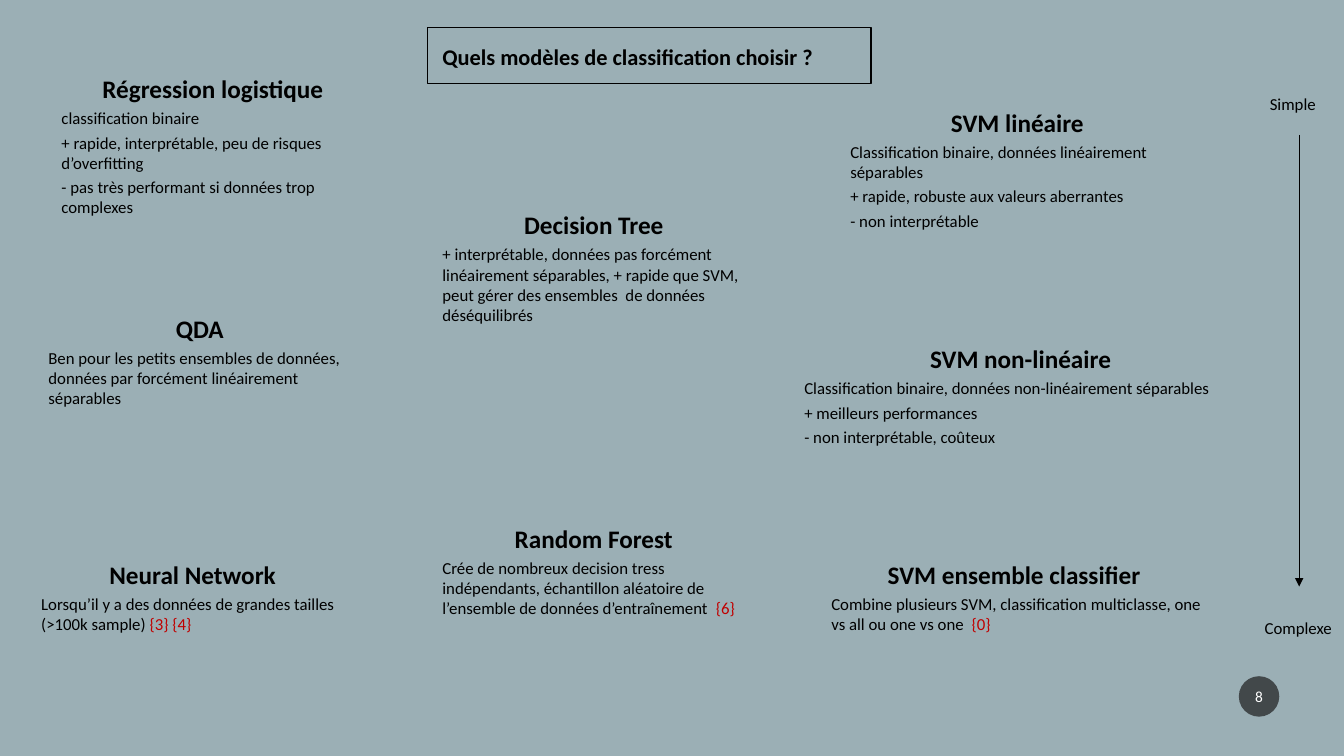
from dataclasses import dataclass

from lxml.etree import SubElement
from pptx import Presentation
from pptx.dml.color import RGBColor
from pptx.enum.shapes import MSO_CONNECTOR as Line, MSO_SHAPE as Preset
from pptx.enum.text import MSO_ANCHOR as Anchor, PP_ALIGN as Align
from pptx.oxml.ns import qn
from pptx.util import Cm, Pt


@dataclass(frozen=True)
class Theme:
    font: str = "Calibri"
    background: RGBColor = RGBColor(0x9B, 0xAF, 0xB5)
    ink: RGBColor = RGBColor(0, 0, 0)
    reference: RGBColor = RGBColor(0xC0, 0, 0)
    badge: RGBColor = RGBColor(0x1D, 0x1D, 0x1D)
    badge_text: RGBColor = RGBColor(0xFF, 0xFF, 0xFF)
    title: Pt = Pt(16)
    heading: Pt = Pt(18)
    body: Pt = Pt(12)
    number: Pt = Pt(11)


theme = Theme()


def write(frame, text, size=theme.body, bold=False, color=theme.ink,
          align=Align.LEFT, after=3, reference=""):
    """Add one paragraph, with an optional coloured reference at its end."""
    first = frame.paragraphs[0]
    paragraph = frame.add_paragraph() if first.runs else first
    paragraph.alignment = align
    paragraph.space_after = Pt(after)
    for words, ink in ((text, color), (reference, theme.reference)):
        if words:
            run = paragraph.add_run()
            run.text = words
            run.font.name = theme.font
            run.font.size = size
            run.font.bold = bold
            run.font.color.rgb = ink


def text_area(left, top, width, height, wrap=True):
    frame = slide.shapes.add_textbox(Cm(left), Cm(top), Cm(width), Cm(height)).text_frame
    frame.word_wrap = wrap
    return frame


deck = Presentation()
deck.slide_width, deck.slide_height = Cm(33.87), Cm(19.05)
slide = deck.slides.add_slide(deck.slide_layouts[6])
slide.background.fill.solid()
slide.background.fill.fore_color.rgb = theme.background

# Slide number
badge = slide.shapes.add_shape(Preset.OVAL, Cm(31.22), Cm(17.04), Cm(1.02), Cm(1.02))
badge.shadow.inherit = False
badge.fill.solid()
badge.fill.fore_color.rgb = theme.badge
badge.line.fill.background()
badge_color = badge.fill._xPr.find(qn("a:solidFill"))[0]
SubElement(badge_color, qn("a:alpha")).set("val", "70000")
number = badge.text_frame
number.margin_left = number.margin_right = Cm(0.05)
number.vertical_anchor = Anchor.MIDDLE
write(number, "8", size=theme.number, color=theme.badge_text, align=Align.CENTER, after=0)

# Title and its frame
title = text_area(10.9, 0.97, 11.18, 0.94)
write(title, "Quels modèles de classification choisir ?", size=theme.title, bold=True, after=0)
title_border = slide.shapes.add_shape(Preset.RECTANGLE, Cm(10.77), Cm(0.69), Cm(11.18), Cm(1.42))
title_border.shadow.inherit = False
title_border.fill.background()
title_border.line.color.rgb = theme.ink
title_border.line.width = Pt(1)

# Models: (left, top, width, height), name, remarks, reference
models = [
    ((1.3, 1.73, 8.13, 3.91), "Régression logistique",
     ["classification binaire",
      "+ rapide, interprétable, peu de risques d’overfitting",
      "- pas très performant si données trop complexes"], ""),
    ((0.97, 7.77, 8.13, 2.67), "QDA",
     ["Ben pour les petits ensembles de données, données par forcément "
      "linéairement séparables"], ""),
    ((0.79, 13.97, 8.13, 2.16), "Neural Network",
     ["Lorsqu’il y a des données de grandes tailles (>100k sample) "], "{3} {4}"),
    ((10.9, 5.16, 8.13, 3.18), "Decision Tree",
     ["+ interprétable, données pas forcément linéairement séparables, "
      "+ rapide que SVM, peut gérer des ensembles  de données déséquilibrés"], ""),
    ((10.9, 13.06, 8.13, 2.67), "Random Forest",
     ["Crée de nombreux decision tress indépendants, échantillon aléatoire de "
      "l’ensemble de données d’entraînement  "], "{6}"),
    ((21.18, 2.57, 8.92, 3.4), "SVM linéaire",
     ["Classification binaire, données linéairement séparables",
      "+ rapide, robuste aux valeurs aberrantes",
      "- non interprétable"], ""),
    ((20.02, 8.53, 11.4, 2.9), "SVM non-linéaire",
     ["Classification binaire, données non-linéairement séparables",
      "+ meilleurs performances",
      "- non interprétable, coûteux"], ""),
    ((20.7, 13.97, 9.86, 2.16), "SVM ensemble classifier ",
     ["Combine plusieurs SVM, classification multiclasse, one vs all ou one vs one  "],
     "{0}"),
]
for place, name, remarks, reference in models:
    model = text_area(*place)
    write(model, name, size=theme.heading, bold=True, align=Align.CENTER)
    for remark in remarks[:-1]:
        write(model, remark)
    write(model, remarks[-1], reference=reference)

# Complexity scale
for level, left, top, width in (("Simple", 31.75, 2.24, 1.73), ("Complexe", 31.62, 15.44, 2.24)):
    write(text_area(left, top, width, 0.76, wrap=False), level)
scale = slide.shapes.add_connector(Line.STRAIGHT, Cm(32.74), Cm(3.4), Cm(32.74), Cm(14.78))
scale.line.color.rgb = theme.ink
scale.line.width = Pt(0.5)
SubElement(scale.line._get_or_add_ln(), qn("a:tailEnd")).set("type", "triangle")
SubElement(scale._element.spPr, qn("a:effectLst"))

deck.save("out.pptx")
